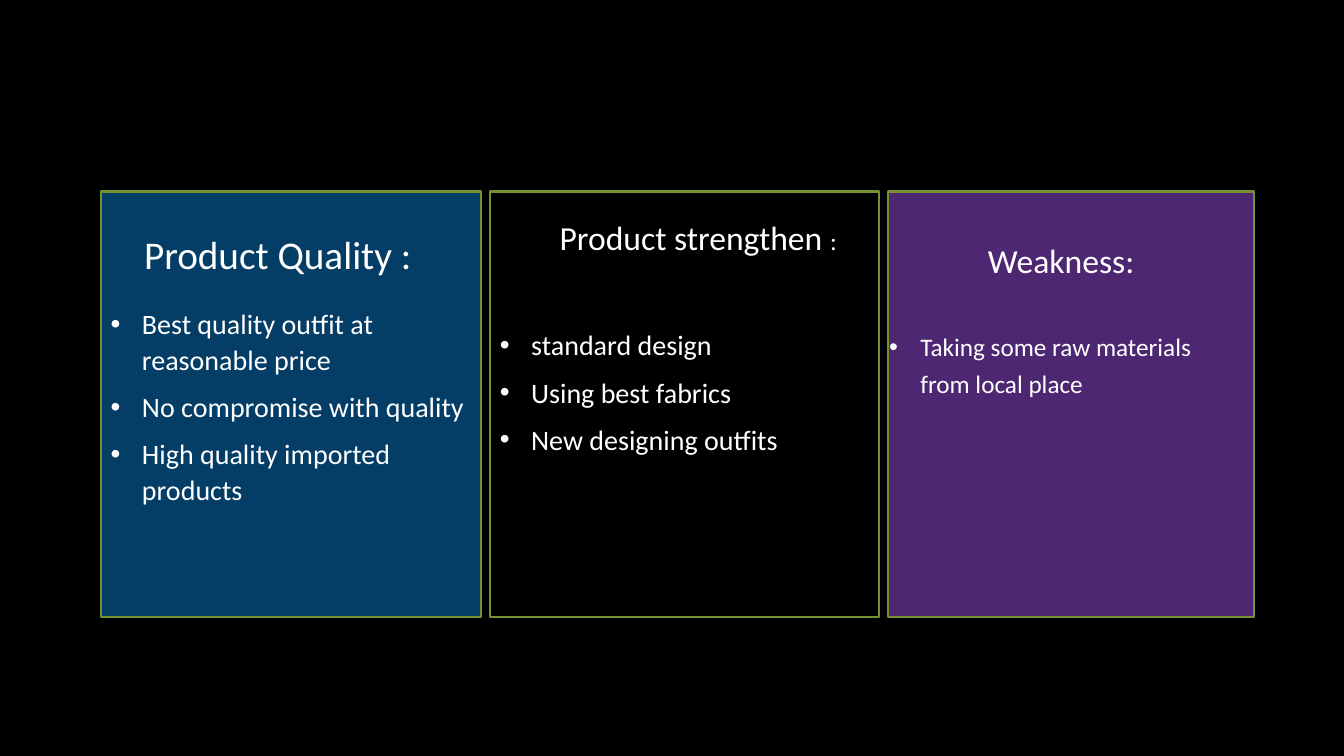
from pptx import Presentation
from pptx.dml.color import RGBColor
from pptx.enum.shapes import MSO_SHAPE
from pptx.enum.text import MSO_ANCHOR, PP_ALIGN
from pptx.oxml.ns import qn
from pptx.util import Inches, Pt
from lxml import etree

RECTANGLE = MSO_SHAPE.RECTANGLE
MIDDLE, TOP = MSO_ANCHOR.MIDDLE, MSO_ANCHOR.TOP
CENTER, LEFT = PP_ALIGN.CENTER, PP_ALIGN.LEFT

THEME = {
    "font": "Calibri",
    "text": RGBColor.from_string("FFFFFF"),
    "page": RGBColor.from_string("000000"),
    "border": RGBColor.from_string("759232"),
    "blue": RGBColor.from_string("043D66"),
    "black": RGBColor.from_string("000000"),
    "purple": RGBColor.from_string("4D2771"),
    "large": 28, "medium": 24, "body": 20, "small": 18,
}
CARD_TOP, CARD_HEIGHT = 1.9, 4.22
HEADING_HEIGHT, TEXT_WIDTH, LIST_HEIGHT = 0.6, 3.61, 3.15
INDENT = Inches(0.31)

# Each heading is a list of (text, size); lists sit at (left, top, width)
CARDS = [
    {"left": 1.0, "width": 3.77, "fill": "blue",
     "heading": [("Product Quality :", "large")], "heading_at": (0.95, 2.22),
     "list_at": (1.0, 2.97, 3.74), "list_size": "body", "spacing": 1.07,
     "points": ["Best quality outfit at reasonable price",
                "No compromise with quality",
                "High quality imported products"]},
    {"left": 4.86, "width": 3.86, "fill": "black",
     "heading": [("Product strengthen ", "medium"), (":", "small")],
     "heading_at": (5.12, 2.05),
     "list_at": (4.86, 3.18, TEXT_WIDTH), "list_size": "body", "spacing": 1.07,
     "points": ["standard design", "Using best fabrics", "New designing outfits"]},
    {"left": 8.81, "width": 3.63, "fill": "purple",
     "heading": [("Weakness:", "medium")], "heading_at": (8.72, 2.28),
     "list_at": (8.72, 3.18, TEXT_WIDTH), "list_size": "small", "spacing": 1.2,
     "points": ["Taking some raw materials from local place"]},
]


def add_text_frame(page, left, top, width, height, anchor):
    box = page.shapes.add_textbox(Inches(left), Inches(top), Inches(width), Inches(height))
    frame = box.text_frame
    frame.word_wrap = True
    frame.vertical_anchor = anchor
    return frame


def style_span(span, size):
    span.font.name = THEME["font"]
    span.font.size = Pt(THEME[size])
    span.font.color.rgb = THEME["text"]


deck = Presentation()
deck.slide_width, deck.slide_height = Inches(13.33), Inches(7.5)
page = deck.slides.add_slide(deck.slide_layouts[6])
page.background.fill.solid()
page.background.fill.fore_color.rgb = THEME["page"]

for card in CARDS:
    # Panel
    panel = page.shapes.add_shape(RECTANGLE, Inches(card["left"]), Inches(CARD_TOP),
                                  Inches(card["width"]), Inches(CARD_HEIGHT))
    panel.shadow.inherit = False
    panel.fill.solid()
    panel.fill.fore_color.rgb = THEME[card["fill"]]
    panel.line.color.rgb = THEME["border"]
    panel.line.width = Pt(1.5)

    # Heading
    frame = add_text_frame(page, *card["heading_at"], TEXT_WIDTH, HEADING_HEIGHT, MIDDLE)
    para = frame.paragraphs[0]
    para.alignment = CENTER
    for words, size in card["heading"]:
        span = para.add_run()
        span.text = words
        style_span(span, size)

    # Bulleted list
    frame = add_text_frame(page, *card["list_at"], LIST_HEIGHT, TOP)
    frame.text = "\n".join(card["points"])
    for para in frame.paragraphs:
        para.alignment = LEFT
        para.line_spacing = card["spacing"]
        para.space_after = Pt(8)
        properties = para._p.get_or_add_pPr()
        properties.set("marL", str(INDENT))
        properties.set("indent", str(-INDENT))
        etree.SubElement(properties, qn("a:buFont")).set("typeface", "Arial")
        etree.SubElement(properties, qn("a:buChar")).set("char", "•")
        style_span(para.runs[0], card["list_size"])

deck.save("out.pptx")
